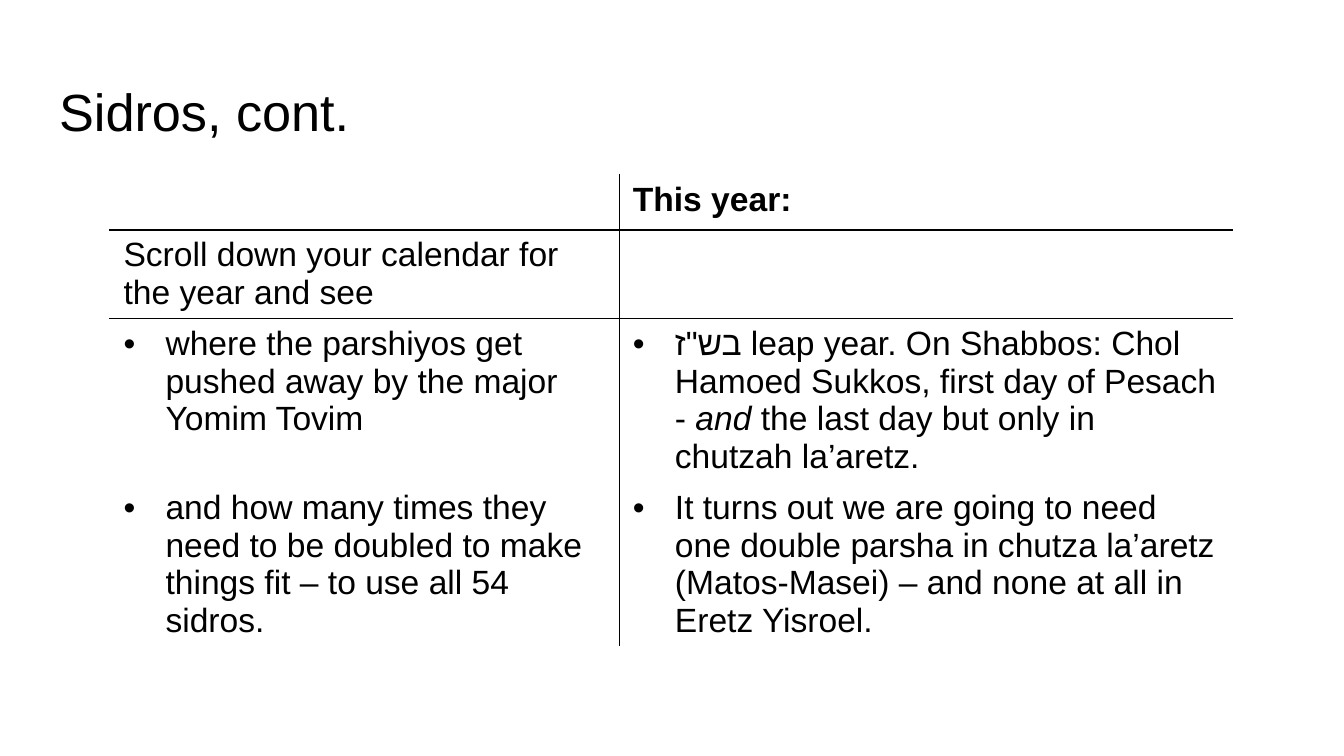
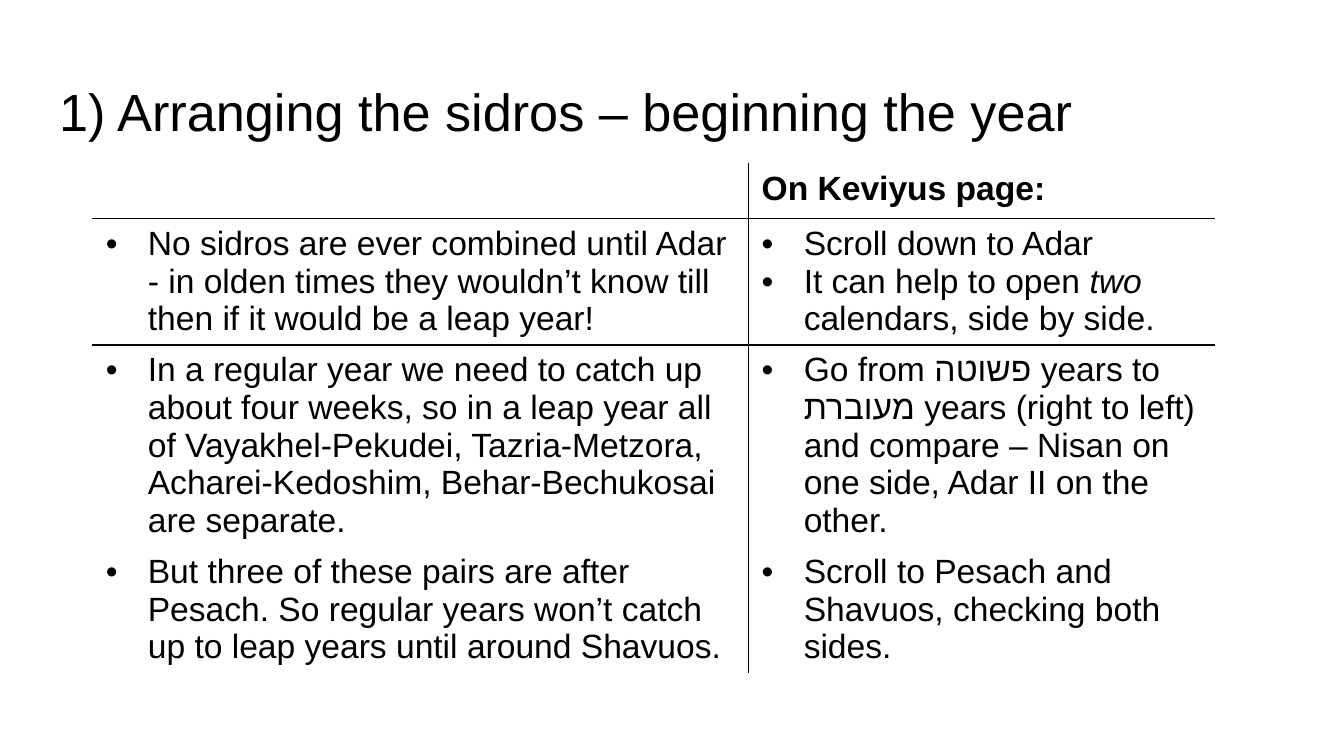
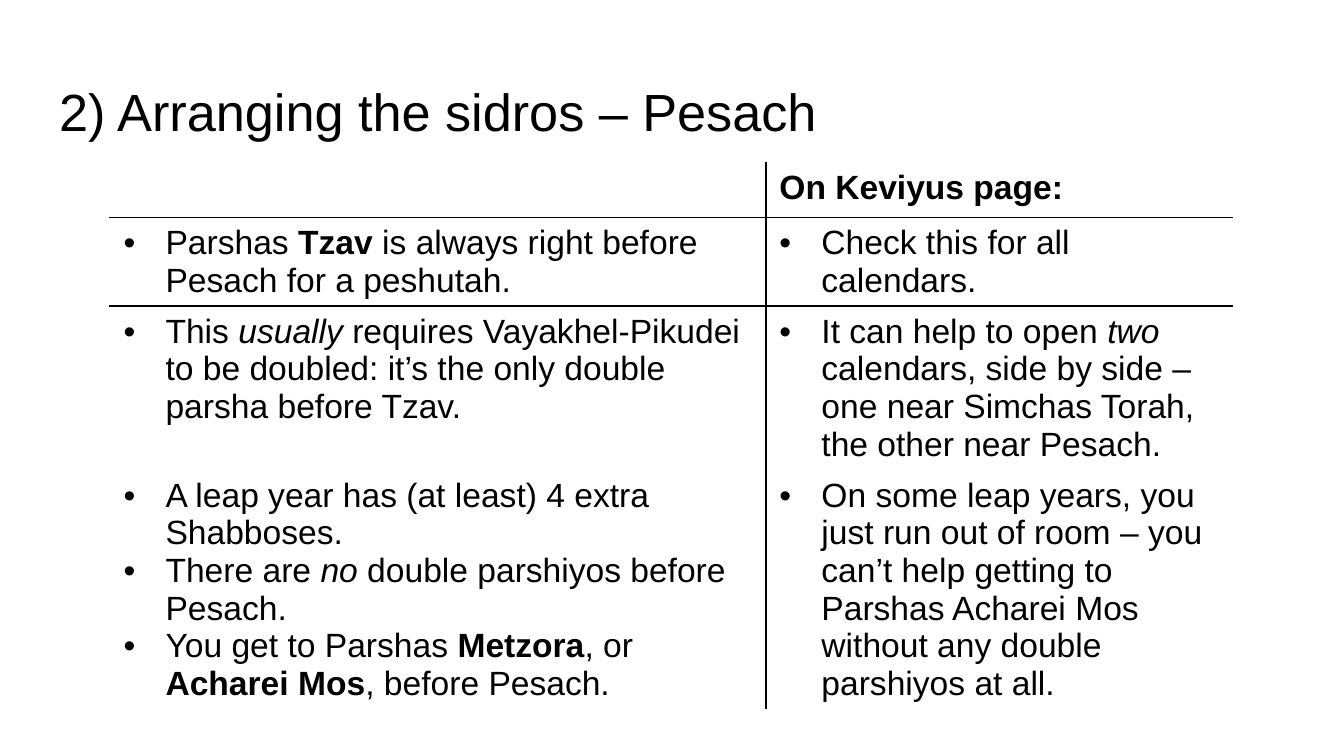
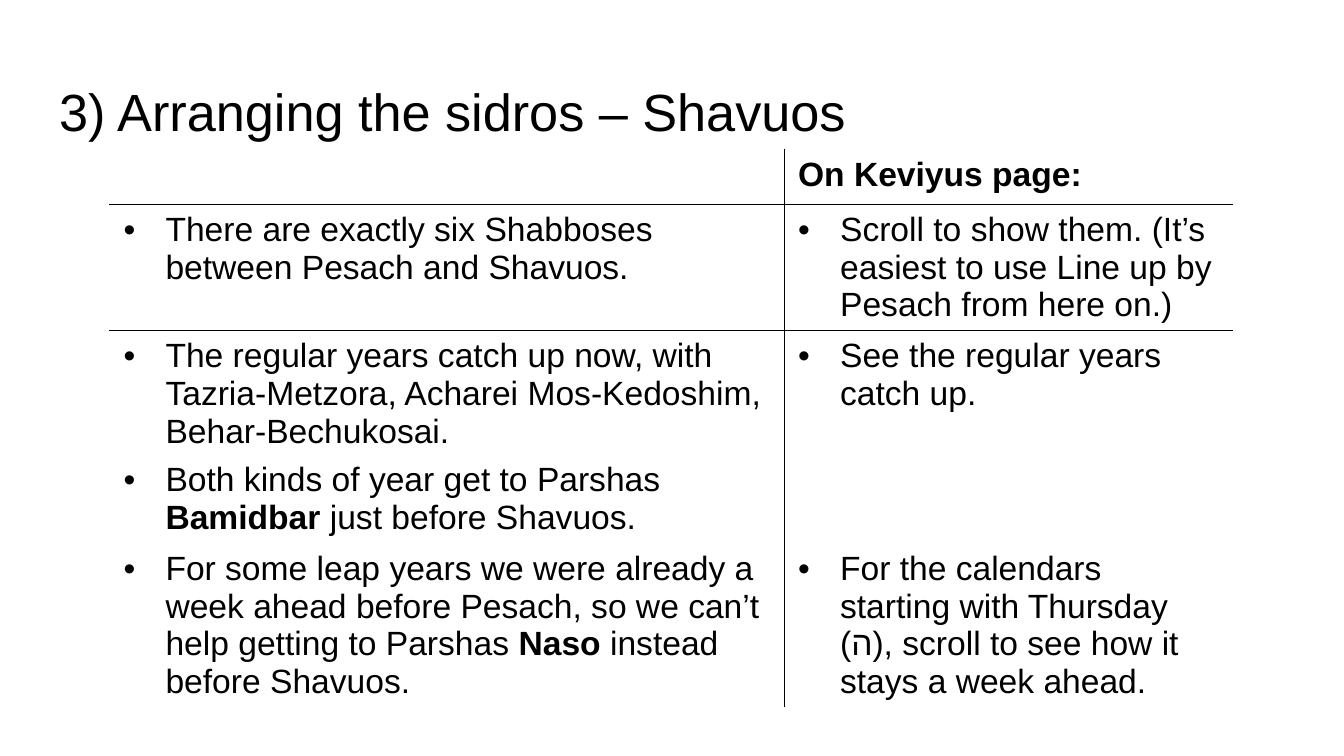
from dataclasses import dataclass
from typing import NamedTuple

from lxml import etree
from pptx import Presentation
from pptx.dml.color import RGBColor
from pptx.enum.text import MSO_ANCHOR, MSO_AUTO_SIZE, PP_ALIGN
from pptx.oxml.ns import qn
from pptx.util import Pt

LEFT = PP_ALIGN.LEFT
TOP = MSO_ANCHOR.TOP
NO_AUTOFIT = MSO_AUTO_SIZE.NONE
TITLE_ONLY_LAYOUT = 5
PLAIN_TABLE_STYLE = "{2D5ABB26-0587-4C30-8999-92F81FD0307C}"


@dataclass(frozen=True)
class Theme:
    font: str = "Arial"
    ink: str = "000000"
    paper: str = "FFFFFF"
    title_size: float = 28
    table_size: float = 18
    bullet_indent: float = 22.5
    rule_width: float = 1


class Box(NamedTuple):
    left: float
    top: float
    width: float
    height: float


class Segment(NamedTuple):
    text: str
    bold: bool = False
    italic: bool = False


class Item(NamedTuple):
    """One paragraph of a table cell."""
    segments: tuple
    bulleted: bool = True
    space_before: float = 0


THEME = Theme()
SLIDE_WIDTH, SLIDE_HEIGHT = 720, 405
TITLE_BOX = Box(24.5, 35.3, 671, 45.4)
TABLE_WIDTH = 601.2
ROW_HEIGHT = 29.5


def bold(text):
    return Segment(text, bold=True)


def italic(text):
    return Segment(text, italic=True)


def bullet(*segments, space_before=0):
    return Item(segments, space_before=space_before)


def plain(*segments):
    return Item(segments, bulleted=False)


def add_element(parent, tag, **attributes):
    return etree.SubElement(parent, qn(tag), attributes)


def add_run(paragraph, text, size, is_bold=False, is_italic=False):
    run = paragraph.add_run()
    run.text = text
    font_format = {"name": THEME.font, "size": Pt(size),
                   "bold": is_bold, "italic": is_italic}
    for attribute, value in font_format.items():
        setattr(run.font, attribute, value)
    run.font.color.rgb = RGBColor.from_string(THEME.ink)
    add_element(run.font._element, "a:cs", typeface=THEME.font)


def add_bullet(paragraph):
    properties = paragraph._p.get_or_add_pPr()
    properties.set("marL", str(Pt(THEME.bullet_indent)))
    properties.set("indent", str(-Pt(THEME.bullet_indent)))
    colour = add_element(properties, "a:buClr")
    add_element(colour, "a:srgbClr", val=THEME.ink)
    add_element(properties, "a:buFont", typeface=THEME.font)
    add_element(properties, "a:buChar", char="•")


def fill_paragraph(paragraph, item):
    """Write an item's segments, with a line break at each newline."""
    if item.bulleted:
        add_bullet(paragraph)
    if item.space_before:
        paragraph.space_before = Pt(item.space_before)
    for segment in item.segments:
        if isinstance(segment, str):
            segment = Segment(segment)
        for index, line in enumerate(segment.text.split("\n")):
            if index:
                paragraph.add_line_break()
            add_run(paragraph, line, THEME.table_size, segment.bold, segment.italic)


def fill_cell(cell, items):
    text_frame = cell.text_frame
    if not items:
        text_frame.paragraphs[0].font.size = Pt(THEME.table_size)
    for index, item in enumerate(items):
        paragraph = text_frame.add_paragraph() if index else text_frame.paragraphs[0]
        fill_paragraph(paragraph, item)


def rule_cell(cell, row, column):
    """Draw the divider between the columns and the rule below the header."""
    borders = {"a:lnL": THEME.ink if column else THEME.paper,
               "a:lnR": THEME.paper if column else THEME.ink}
    if row == 0:
        borders.update({"a:lnT": THEME.paper, "a:lnB": THEME.ink})
    elif row == 1:
        borders["a:lnT"] = THEME.ink
    properties = cell._tc.get_or_add_tcPr()
    for tag, colour in borders.items():
        line = add_element(properties, tag, w=str(Pt(THEME.rule_width)))
        add_element(add_element(line, "a:solidFill"), "a:srgbClr", val=colour)
    cell.fill.background()


def place_title(slide, box, text):
    title = slide.shapes.title
    for attribute, value in box._asdict().items():
        setattr(title, attribute, Pt(value))
    text_frame = title.text_frame
    frame_format = {"word_wrap": True, "auto_size": NO_AUTOFIT, "vertical_anchor": TOP}
    frame_format.update({f"margin_{side}": Pt(7.2)
                         for side in ("left", "top", "right", "bottom")})
    for attribute, value in frame_format.items():
        setattr(text_frame, attribute, value)
    paragraph = text_frame.paragraphs[0]
    paragraph.alignment = LEFT
    add_run(paragraph, text, THEME.title_size)


def place_table(slide, box, divider, rows):
    """Place a two-column table whose divider is that far from the left edge."""
    frame = slide.shapes.add_table(len(rows), 2, *(Pt(value) for value in box))
    table = frame.table
    table.first_row = table.horz_banding = False
    table._tbl.tblPr.find(qn("a:tableStyleId")).text = PLAIN_TABLE_STYLE
    for column, width in zip(table.columns, (divider, box.width - divider)):
        column.width = Pt(width)
    for row_index, row in enumerate(rows):
        table.rows[row_index].height = Pt(box.height / len(rows))
        for column_index, items in enumerate(row):
            cell = table.cell(row_index, column_index)
            fill_cell(cell, items)
            rule_cell(cell, row_index, column_index)


def add_comparison_slide(presentation, title, left, top, divider, heading, body):
    slide = presentation.slides.add_slide(presentation.slide_layouts[TITLE_ONLY_LAYOUT])
    place_title(slide, TITLE_BOX, title)
    rows = [([], [plain(bold(heading))]), *body]
    box = Box(left, top, TABLE_WIDTH, ROW_HEIGHT * len(rows))
    place_table(slide, box, divider, rows)


KEVIYUS = "On Keviyus page:"

SLIDES = [
    dict(title="Sidros, cont.", left=59, top=93.6, divider=272.9, heading="This year:", body=[
        ([plain("Scroll down your calendar for the year and see")], []),
        ([bullet("where the parshiyos get pushed away by the major Yomim Tovim")],
         [bullet("בש\"ז leap year. On Shabbos: Chol Hamoed Sukkos, first day of Pesach - ",
                 italic("and "), "the last day but only in chutzah la’aretz.")]),
        ([bullet("and how many times they need to be doubled to make things fit – "
                 "to use all 54 sidros.")],
         [bullet("It turns out we are going to need one double parsha in chutza la’aretz "
                 "(Matos-Masei) – and none at all in Eretz Yisroel.")]),
    ]),
    dict(title="1) Arranging the sidros – beginning the year",
         left=49.5, top=87.5, divider=351.4, heading=KEVIYUS, body=[
        ([bullet("No sidros are ever combined until Adar\n- in olden times they wouldn’t "
                 "know till then if it would be a leap year!")],
         [bullet("Scroll down to Adar"),
          bullet("It can help to open ", italic("two"), " calendars, side by side.")]),
        ([bullet("In a regular year we need to catch up about four weeks, so in a leap year "
                 "all of Vayakhel-Pekudei, Tazria-Metzora, Acharei-Kedoshim, "
                 "Behar-Bechukosai are separate.")],
         [bullet("Go from פשוטה years to מעוברת years (right to left) and compare – "
                 "Nisan on one side, Adar II on the other.")]),
        ([bullet("But three of these pairs are after Pesach. So regular years won’t catch "
                 "up to leap years until around Shavuos.")],
         [bullet("Scroll to Pesach and Shavuos, checking both sides.")]),
    ]),
    dict(title="2) Arranging the sidros – Pesach",
         left=59, top=87, divider=351.4, heading=KEVIYUS, body=[
        ([bullet("Parshas ", bold("Tzav"), " is always right before Pesach for a peshutah.")],
         [bullet("Check this for all calendars.")]),
        ([bullet("This ", italic("usually "), "requires Vayakhel-Pikudei to be doubled: "
                 "it’s the only double parsha before Tzav.")],
         [bullet("It can help to open ", italic("two"), " calendars, side by side – "
                 "one near Simchas Torah, the other near Pesach.")]),
        ([bullet("A leap year has (at least) 4 extra Shabboses."),
          bullet("There are ", italic("no"), " double parshiyos before Pesach."),
          bullet("You get to Parshas ", bold("Metzora"), ", or ", bold("Acharei Mos"),
                 ", before Pesach.")],
         [bullet("On some leap years, you just run out of room – you can’t help getting to "
                 "Parshas Acharei Mos without any double parshiyos at all.")]),
    ]),
    dict(title="3) Arranging the sidros – Shavuos",
         left=59, top=80, divider=361.4, heading=KEVIYUS, body=[
        ([bullet("There are exactly six Shabboses between Pesach and Shavuos.")],
         [bullet("Scroll to show them. (It’s easiest to use Line up by Pesach "
                 "from here on.)")]),
        ([bullet("The regular years catch up now, with Tazria-Metzora, "
                 "Acharei Mos-Kedoshim, Behar-Bechukosai."),
          bullet("Both kinds of year get to Parshas ", bold("Bamidbar"),
                 " just before Shavuos.", space_before=6)],
         [bullet("See the regular years catch up.")]),
        ([bullet("For some leap years we were already a week ahead before Pesach, so we "
                 "can’t help getting to Parshas ", bold("Naso"), " instead before Shavuos.")],
         [bullet("For the calendars starting with Thursday (ה), scroll to see how it "
                 "stays a week ahead.")]),
    ]),
]


def main():
    presentation = Presentation()
    presentation.slide_width = Pt(SLIDE_WIDTH)
    presentation.slide_height = Pt(SLIDE_HEIGHT)
    for content in SLIDES:
        add_comparison_slide(presentation, **content)
    presentation.save("out.pptx")


if __name__ == "__main__":
    main()
